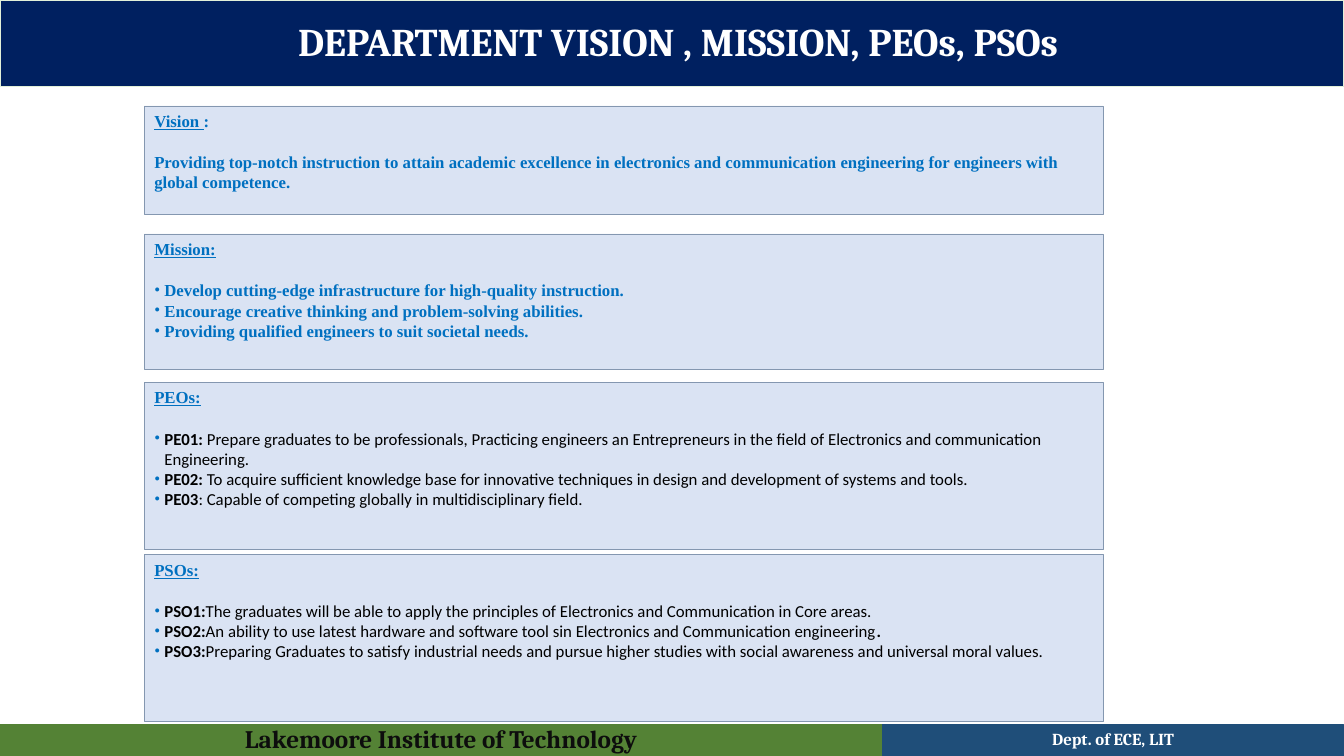
from dataclasses import dataclass

from lxml.etree import SubElement
from pptx import Presentation
from pptx.dml.color import RGBColor
from pptx.enum.shapes import MSO_SHAPE
from pptx.enum.text import MSO_ANCHOR, MSO_AUTO_SIZE, PP_ALIGN
from pptx.oxml.ns import qn
from pptx.util import Inches, Pt


@dataclass(frozen=True)
class Theme:
    navy: str = "002060"
    pale_green: str = "E2F0D9"
    green: str = "548235"
    blue: str = "1F4E79"
    panel: str = "DAE3F3"
    panel_line: str = "8497B0"
    accent: str = "0070C0"
    white: str = "FFFFFF"
    black: str = "000000"
    ink: str = "0D0D0D"
    bar_font: str = "Cambria"
    panel_font: str = "Times New Roman"
    detail_font: str = "Calibri"
    title_size: int = 28
    institute_size: int = 18
    body_size: int = 12


THEME = Theme()
WIDTH, HEIGHT = 13.33, 7.5
COMPARISON_LAYOUT = 4  # a title and four text placeholders
PANEL_LEFT, PANEL_WIDTH = 1.43, 9.51
BULLET_INDENT = Inches(0.1)

# Each panel: top, height, heading, plain statement, bullets as (label, detail, bold end)
PANELS = [
    (1.05, 1.08, ("Vision ", ":"),
     "Providing top-notch instruction to attain academic excellence in electronics and "
     "communication engineering for engineers with global competence.", []),
    (2.32, 1.34, ("Mission:", ""), "", [
        ("", "Develop cutting-edge infrastructure for high-quality instruction.", ""),
        ("", "Encourage creative thinking and problem-solving abilities.", ""),
        ("", "Providing qualified engineers to suit societal needs.", "")]),
    (3.79, 1.66, ("PEOs:", ""), "", [
        ("PE01:", " Prepare graduates to be professionals, Practicing engineers an Entrepreneurs "
         "in the field of Electronics and communication Engineering.", ""),
        ("PE02:", " To acquire sufficient knowledge base for innovative techniques in design "
         "and development of systems and tools.", ""),
        ("PE03", ": Capable of competing globally in multidisciplinary field.", "")]),
    (5.5, 1.66, ("PSOs:", ""), "", [
        ("PSO1:", "The graduates will be able to apply the principles of Electronics and "
         "Communication in Core areas.", ""),
        ("PSO2:", "An ability to use latest hardware and software tool sin Electronics and "
         "Communication engineering", "."),
        ("PSO3:", "Preparing Graduates to satisfy industrial needs and pursue higher studies "
         "with social awareness and universal moral values.", "")]),
]


def color(value):
    return RGBColor.from_string(value)


def place(shape, box, fill, line, line_width):
    shape.left, shape.top, shape.width, shape.height = map(Inches, box)
    shape.fill.solid()
    shape.fill.fore_color.rgb = color(fill)
    shape.line.color.rgb = color(line)
    shape.line.width = Pt(line_width)
    frame = shape.text_frame
    frame.word_wrap = True
    frame.auto_size = MSO_AUTO_SIZE.NONE


def add_run(paragraph, text, font_name, font_color, bold=True, size=THEME.body_size):
    run = paragraph.add_run()
    run.text = text
    run.font.name = font_name
    run.font.size = Pt(size)
    run.font.bold = bold
    run.font.color.rgb = color(font_color)
    return run


def format_paragraph(paragraph, bullet=False, space_after=0):
    paragraph.alignment = PP_ALIGN.LEFT
    paragraph.line_spacing = 1.0
    paragraph.space_before = Pt(0)
    paragraph.space_after = Pt(space_after)
    properties = paragraph._p.get_or_add_pPr()
    indent = BULLET_INDENT if bullet else 0
    properties.set("marL", str(indent))
    properties.set("indent", str(-indent))
    if not bullet:
        SubElement(properties, qn("a:buNone"))
        return
    bullet_color = SubElement(properties, qn("a:buClr"))
    SubElement(bullet_color, qn("a:srgbClr"), val=THEME.accent)
    SubElement(properties, qn("a:buFont"), typeface=THEME.panel_font)
    SubElement(properties, qn("a:buChar"), char="•")


def fill_bar(shape, box, text, fill, line, font_color, size):
    """Coloured band with one centred line of text."""
    place(shape, box, fill, line, 0.75)
    frame = shape.text_frame
    frame.vertical_anchor = MSO_ANCHOR.MIDDLE
    paragraph = frame.paragraphs[0]
    paragraph.alignment = PP_ALIGN.CENTER
    paragraph.line_spacing = 0.9
    add_run(paragraph, text, THEME.bar_font, font_color, size=size)


def fill_panel(placeholder, box, heading, statement, bullets):
    """Bordered panel: underlined heading, then a statement or a bullet list."""
    place(placeholder, box, THEME.panel, THEME.panel_line, 0.25)
    frame = placeholder.text_frame
    frame.vertical_anchor = MSO_ANCHOR.TOP

    # Heading
    paragraph = frame.paragraphs[0]
    format_paragraph(paragraph, space_after=15)
    underlined, plain = heading
    add_run(paragraph, underlined, THEME.panel_font, THEME.accent).font.underline = True
    if plain:
        add_run(paragraph, plain, THEME.panel_font, THEME.accent)

    # Statement
    if statement:
        paragraph = frame.add_paragraph()
        format_paragraph(paragraph)
        add_run(paragraph, statement, THEME.panel_font, THEME.accent)

    # Bullets
    for label, detail, ending in bullets:
        paragraph = frame.add_paragraph()
        format_paragraph(paragraph, bullet=True)
        if not label:
            add_run(paragraph, detail, THEME.panel_font, THEME.accent)
            continue
        add_run(paragraph, label, THEME.detail_font, THEME.black)
        add_run(paragraph, detail, THEME.detail_font, THEME.black, bold=False)
        if ending:
            add_run(paragraph, ending, THEME.detail_font, THEME.black)


def add_footer(slide, box):
    """Institute band on the left, department band on the right."""
    left, top, width, height = box
    split = 8.75
    bands = [
        (left, split - left, "Lakemoore Institute of Technology",
         THEME.green, THEME.ink, THEME.institute_size),
        (split, left + width - split, "Dept. of ECE, LIT",
         THEME.blue, THEME.white, THEME.body_size),
    ]
    for band_left, band_width, text, fill, font_color, size in bands:
        band = slide.shapes.add_shape(MSO_SHAPE.RECTANGLE, 0, 0, 0, 0)
        band.shadow.inherit = False
        fill_bar(band, (band_left, top, band_width, height), text, fill, fill, font_color, size)


def main():
    presentation = Presentation()
    presentation.slide_width, presentation.slide_height = Inches(WIDTH), Inches(HEIGHT)
    slide = presentation.slides.add_slide(presentation.slide_layouts[COMPARISON_LAYOUT])
    title, *panel_placeholders = slide.placeholders

    # Title band
    fill_bar(title, (0, 0, WIDTH, 0.86), "DEPARTMENT VISION , MISSION, PEOs, PSOs",
             THEME.navy, THEME.pale_green, THEME.white, THEME.title_size)
    title.text_frame.margin_left = Inches(0.22)

    # Statement panels
    for placeholder, (top, height, *content) in zip(panel_placeholders, PANELS):
        fill_panel(placeholder, (PANEL_LEFT, top, PANEL_WIDTH, height), *content)

    # Footer
    add_footer(slide, (0, 7.19, WIDTH, 0.31))
    presentation.save("out.pptx")


if __name__ == "__main__":
    main()
